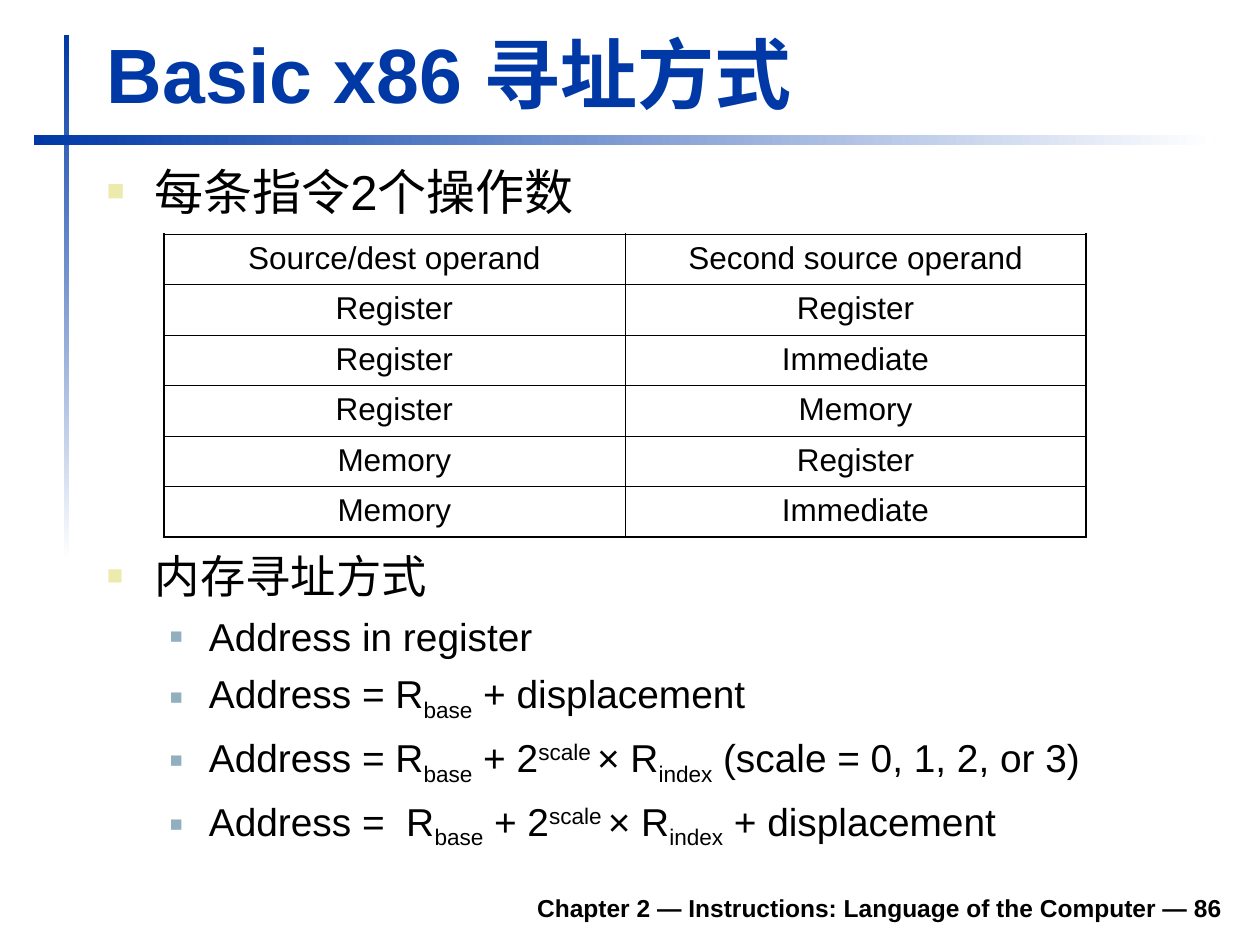
from lxml import etree
from pptx import Presentation
from pptx.dml.color import RGBColor
from pptx.enum.shapes import MSO_SHAPE
from pptx.enum.text import MSO_ANCHOR, PP_ALIGN
from pptx.oxml.ns import qn
from pptx.util import Inches, Pt

RECT = MSO_SHAPE.RECTANGLE
TOP, BOTTOM = MSO_ANCHOR.TOP, MSO_ANCHOR.BOTTOM
LEFT, CENTER, RIGHT = PP_ALIGN.LEFT, PP_ALIGN.CENTER, PP_ALIGN.RIGHT

FONT = "Arial"
COLORS = {"blue": "0039A6", "white": "FFFFFF", "black": "000000",
          "sand": "ECEAAC", "steel": "91AFBF"}

# Bullet levels: indent, hang, space before, colour, size in percent
LEVELS = [(0.38, 0.38, 7, "sand", 60), (0.81, 0.31, 6, "steel", 55)]

OPERANDS = [
    ("Source/dest operand", "Second source operand"),
    ("Register", "Register"),
    ("Register", "Immediate"),
    ("Register", "Memory"),
    ("Memory", "Register"),
    ("Memory", "Immediate"),
]

# Address terms: text and baseline shift in percent
BASE = [("base", -25)]
INDEX = [(" + 2", 0), ("scale ", 30), ("× R", 0), ("index", -25)]
MODES = [
    [("Address in register", 0)],
    [("Address = R", 0)] + BASE + [(" + displacement", 0)],
    [("Address = R", 0)] + BASE + INDEX + [(" (scale = 0, 1, 2, or 3)", 0)],
    [("Address =  R", 0)] + BASE + INDEX + [(" + displacement", 0)],
]


def rgb(name):
    return RGBColor.from_string(COLORS[name])


def style(font, size, color="black", bold=False):
    font.name, font.size, font.bold = FONT, Pt(size), bold
    font.color.rgb = rgb(color)


def add_bar(slide, box, angle):
    bar = slide.shapes.add_shape(RECT, *map(Inches, box))
    bar.shadow.inherit = False
    bar.line.fill.background()
    bar.fill.gradient()
    bar.fill.gradient_angle = angle
    for stop, pos, name in zip(bar.fill.gradient_stops, (0, 1), ("blue", "white")):
        stop.position = pos
        stop.color.rgb = rgb(name)


def add_box(slide, box, anchor=TOP):
    frame = slide.shapes.add_textbox(*map(Inches, box)).text_frame
    frame.word_wrap = True
    frame.vertical_anchor = anchor
    return frame


def add_label(slide, box, text, size, color, align):
    frame = add_box(slide, box, BOTTOM)
    frame.text = text
    para = frame.paragraphs[0]
    para.alignment = align
    style(para.runs[0].font, size, color, True)


def add_item(frame, terms, size, level=0):
    indent, hang, space, color, scale = LEVELS[level]
    para = frame.paragraphs[0]
    if para.runs:
        para = frame.add_paragraph()
        para.space_before = Pt(space)
    para.level = level
    props = para._p.get_or_add_pPr()
    props.set("marL", str(Inches(indent)))
    props.set("indent", str(-Inches(hang)))
    tint = etree.SubElement(props, qn("a:buClr"))
    etree.SubElement(tint, qn("a:srgbClr"), val=COLORS[color])
    etree.SubElement(props, qn("a:buSzPct"), val=str(scale * 1000))
    etree.SubElement(props, qn("a:buFont"), typeface=FONT)
    etree.SubElement(props, qn("a:buChar"), char="■")
    for text, shift in terms:
        run = para.add_run()
        run.text = text
        style(run.font, size)
        if shift:
            run._r.get_or_add_rPr().set("baseline", str(shift * 1000))


def set_edge(cell, side, width):
    line = etree.SubElement(cell._tc.get_or_add_tcPr(), qn("a:ln" + side),
                            w=str(Pt(width)))
    fill = etree.SubElement(line, qn("a:solidFill"))
    etree.SubElement(fill, qn("a:srgbClr"), val=COLORS["black"])


def add_grid(slide, box, rows):
    last_row, last_col = len(rows) - 1, len(rows[0]) - 1
    shape = slide.shapes.add_table(len(rows), len(rows[0]), *map(Inches, box))
    table = shape.table
    table.first_row = table.horz_banding = False
    for i, row in enumerate(rows):
        for j, text in enumerate(row):
            cell = table.cell(i, j)
            cell.text = text
            para = cell.text_frame.paragraphs[0]
            para.alignment = CENTER
            style(para.runs[0].font, 18)
            # Heavier lines run around the outside
            outer = {"L": j == 0, "R": j == last_col,
                     "T": i == 0, "B": i == last_row}
            for side, heavy in outer.items():
                set_edge(cell, side, 1.08 if heavy else 0.45)
            cell.fill.background()


def main():
    deck = Presentation()
    deck.slide_width, deck.slide_height = Inches(10), Inches(7.5)
    slide = deck.slides.add_slide(deck.slide_layouts[6])

    # Fading rules
    add_bar(slide, (0.51, 0.28, 0.04, 4.17), 270)
    add_bar(slide, (0.27, 1.07, 9.37, 0.08), 0)

    # Footer and title
    add_label(slide, (1.85, 6.98, 7.95, 0.39),
              "Chapter 2 — Instructions: Language of the Computer — 86",
              14, "black", RIGHT)
    add_label(slide, (0.75, 0.16, 9.03, 0.83), "Basic x86 寻址方式",
              44, "blue", LEFT)

    # Operand pairs
    frame = add_box(slide, (0.75, 1.23, 9.04, 0.71))
    add_item(frame, [("每条指令2个操作数", 0)], 28)
    add_grid(slide, (1.3, 1.86, 7.32, 2.4), OPERANDS)

    # Addressing modes
    frame = add_box(slide, (0.75, 4.3, 9.04, 2.52))
    add_item(frame, [("内存寻址方式", 0)], 25.9)
    for terms in MODES:
        add_item(frame, terms, 22.2, 1)

    deck.save("out.pptx")


if __name__ == "__main__":
    main()
